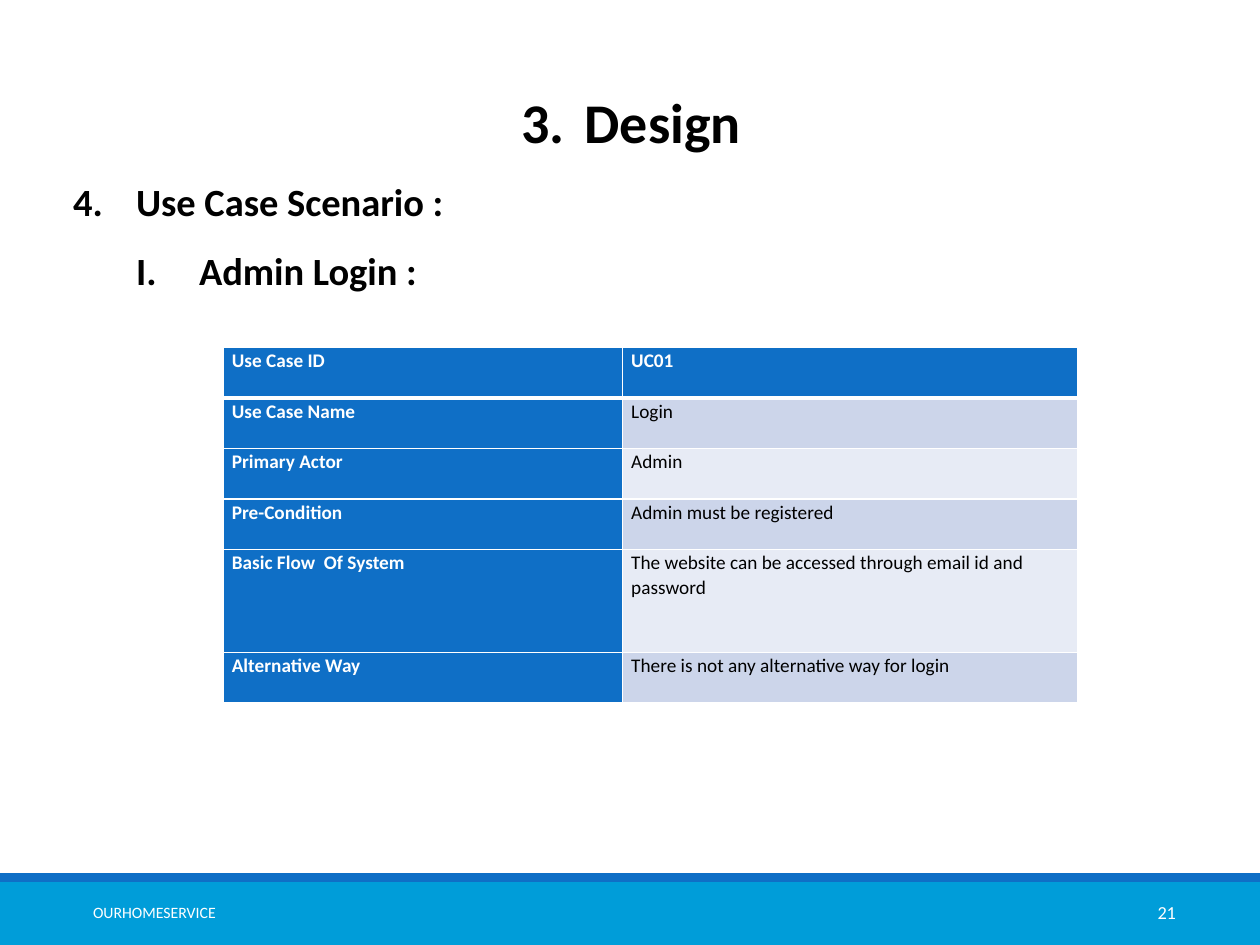
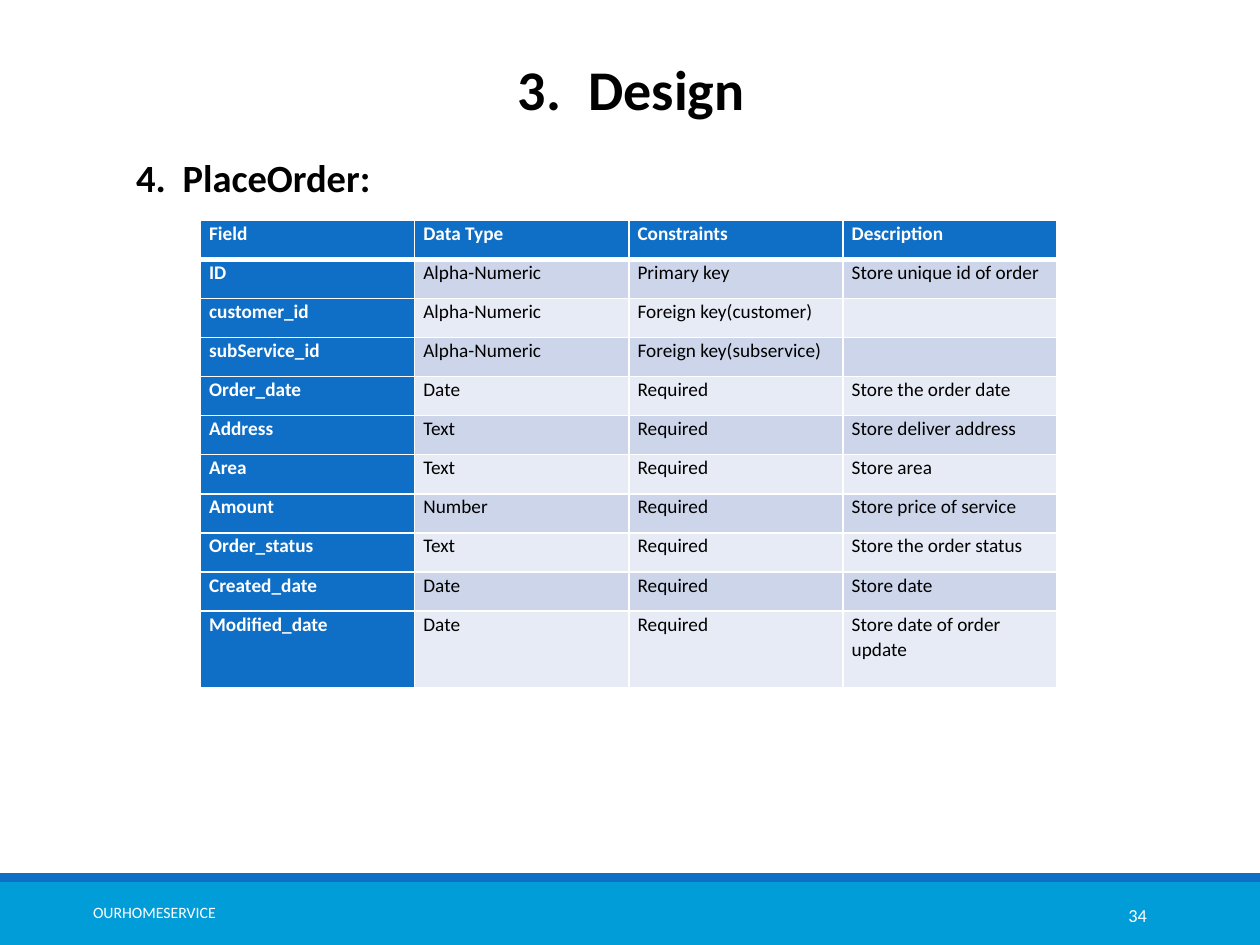
"""Build two design slides: a use case scenario and a data dictionary table."""
from dataclasses import dataclass

from lxml import etree
from pptx import Presentation
from pptx import util as u
from pptx.dml.color import RGBColor
from pptx.enum import shapes, text
from pptx.oxml import ns
from pptx.presentation import Presentation as Deck
from pptx.shapes.autoshape import Shape
from pptx.slide import Slide
from pptx.table import _Cell as Cell
from pptx.text.text import TextFrame, _Paragraph as Paragraph


@dataclass(frozen=True)
class Theme:
    """Colours, font and type sizes of the deck."""
    font: str = "Calibri"
    accent: str = "0F6FC6"
    footer: str = "009DD9"
    light: str = "FFFFFF"
    dark: str = "000000"
    stripes: tuple[str, str] = ("CCD5EA", "E7EBF5")
    title_size: float = 32
    list_size: float = 22
    table_size: float = 11
    number_size: float = 10.5
    footer_size: float = 9


@dataclass(frozen=True)
class Box:
    """Position and size in inches."""
    left: float
    top: float
    width: float
    height: float

    def lengths(self) -> tuple[u.Length, ...]:
        """Return the box as slide lengths."""
        return tuple(u.Inches(value) for value in (self.left, self.top, self.width, self.height))


@dataclass(frozen=True)
class Item:
    """A numbered line; margin and hanging indent in inches."""
    words: str
    start: int
    margin: float
    hanging: float
    spacing: float = 1.5
    level: int = 0
    scheme: str = "arabicPeriod"


@dataclass(frozen=True)
class Grid:
    """A table with its place, column widths and row heights in inches."""
    left: float
    top: float
    columns: list[float]
    heights: list[float]
    rows: list[tuple[str, ...]]


@dataclass(frozen=True)
class Page:
    """Everything that differs from one slide to the next."""
    title: Item
    title_box: Box
    items: list[Item]
    items_box: Box
    grid: Grid
    number: str
    number_box: Box
    number_alignment: text.PP_ALIGN


THEME = Theme()
BRAND = "OURHOMESERVICE"
BRAND_BOX = Box(0.23, 7.04, 1.99, 0.4)
BANDS = [(Box(0, 7, 10, 0.5), THEME.footer), (Box(0, 6.93, 10, 0.07), THEME.accent)]

PAGES = [
    Page(
        title=Item("Design", 3, 0.5, 0.5),
        title_box=Box(0.48, 0.38, 9.06, 0.86),
        items=[
            Item("Use Case Scenario :", 4, 0.5, 0.5),
            Item("Admin Login :", 1, 1, 0.5, level=1, scheme="romanUcPeriod"),
        ],
        items_box=Box(0.48, 1.18, 9.06, 1.3),
        grid=Grid(1.77, 2.76, [3.17, 3.61], [0.4] * 4 + [0.82, 0.4], [
            ("Use Case ID", "UC01"),
            ("Use Case Name", "Login"),
            ("Primary Actor", "Admin"),
            ("Pre-Condition", "Admin must be registered"),
            ("Basic Flow  Of System", "The website can be accessed through email id and password"),
            ("Alternative Way", "There is not any alternative way for login"),
        ]),
        number="21",
        number_box=Box(8.72, 7.04, 1.08, 0.4),
        number_alignment=text.PP_ALIGN.CENTER,
    ),
    Page(
        title=Item("Design", 3, 0.56, 0.56, spacing=1),
        title_box=Box(0.48, 0.38, 9.06, 0.64),
        items=[Item("PlaceOrder:", 4, 0.87, 0.37)],
        items_box=Box(0.48, 0.99, 9.06, 0.66),
        grid=Grid(1.59, 1.75, [1.7] * 4, [0.31] * 10 + [0.61], [
            ("Field", "Data Type", "Constraints", "Description"),
            ("ID", "Alpha-Numeric", "Primary key", "Store unique id of order"),
            ("customer_id", "Alpha-Numeric", "Foreign key(customer)", ""),
            ("subService_id", "Alpha-Numeric", "Foreign key(subservice)", ""),
            ("Order_date", "Date", "Required", "Store the order date"),
            ("Address", "Text", "Required", "Store deliver address"),
            ("Area", "Text", "Required", "Store area"),
            ("Amount", "Number", "Required", "Store price of service"),
            ("Order_status", "Text", "Required", "Store the order status"),
            ("Created_date", "Date", "Required", "Store date"),
            ("Modified_date", "Date", "Required", "Store date of order update"),
        ]),
        number="34",
        number_box=Box(8.12, 7.06, 1.08, 0.4),
        number_alignment=text.PP_ALIGN.RIGHT,
    ),
]


def add_run(paragraph: Paragraph, words: str, size: float, color: str, bold: bool = False) -> None:
    """Add one formatted run to a paragraph."""
    run = paragraph.add_run()
    run.text = words
    run.font.name = THEME.font
    run.font.size = u.Pt(size)
    run.font.bold = bold
    run.font.color.rgb = RGBColor.from_string(color)


def next_paragraph(frame: TextFrame, index: int) -> Paragraph:
    """Return the first paragraph, or add a further one."""
    return frame.add_paragraph() if index else frame.paragraphs[0]


def fill_placeholder(shape: Shape, box: Box, items: list[Item], size: float,
                     alignment: text.PP_ALIGN) -> None:
    """Move a placeholder and write its numbered lines."""
    shape.left, shape.top, shape.width, shape.height = box.lengths()
    frame = shape.text_frame
    frame.auto_size = text.MSO_AUTO_SIZE.NONE
    frame.vertical_anchor = text.MSO_ANCHOR.TOP
    for index, item in enumerate(items):
        paragraph = next_paragraph(frame, index)
        paragraph.level = item.level
        paragraph.alignment = alignment
        paragraph.line_spacing = item.spacing
        paragraph.space_before = u.Pt(0)
        add_run(paragraph, item.words, size, THEME.dark, bold=True)
        properties = paragraph._p.get_or_add_pPr()
        properties.set("marL", str(u.Inches(item.margin)))
        properties.set("indent", str(-u.Inches(item.hanging)))
        etree.SubElement(properties, ns.qn("a:buFont"), typeface="+mj-lt")
        etree.SubElement(properties, ns.qn("a:buAutoNum"), type=item.scheme, startAt=str(item.start))


def add_footer_text(slide: Slide, words: str, box: Box, size: float,
                    alignment: text.PP_ALIGN) -> None:
    """Add one light text on the footer band."""
    frame = slide.shapes.add_textbox(*box.lengths()).text_frame
    frame.word_wrap = True
    frame.vertical_anchor = text.MSO_ANCHOR.MIDDLE
    paragraph = frame.paragraphs[0]
    paragraph.alignment = alignment
    add_run(paragraph, words, size, THEME.light)


def set_borders(cell: Cell, top: float, bottom: float) -> None:
    """Draw the four cell borders, with widths in points."""
    properties = cell._tc.get_or_add_tcPr()
    widths = {"a:lnL": 1, "a:lnR": 1, "a:lnT": top, "a:lnB": bottom}
    for index, (tag, width) in enumerate(widths.items()):
        line = etree.Element(ns.qn(tag), w=str(u.Pt(width)))
        fill = etree.SubElement(line, ns.qn("a:solidFill"))
        etree.SubElement(fill, ns.qn("a:srgbClr"), val=THEME.light)
        properties.insert(index, line)


def format_cell(cell: Cell, words: str, row: int, column: int) -> None:
    """Write and colour one table cell."""
    is_header = row == 0 or column == 0
    cell.fill.solid()
    cell.fill.fore_color.rgb = RGBColor.from_string(
        THEME.accent if is_header else THEME.stripes[(row - 1) % 2])
    cell.margin_left = cell.margin_right = u.Inches(0.07)
    cell.margin_top = cell.margin_bottom = 0
    set_borders(cell, top=3 if row == 1 else 1, bottom=3 if row == 0 else 1)
    if words:
        paragraph = cell.text_frame.paragraphs[0]
        paragraph.line_spacing = 1.07
        add_run(paragraph, words, THEME.table_size,
                THEME.light if is_header else THEME.dark, bold=is_header)


def add_grid(slide: Slide, grid: Grid) -> None:
    """Add a table with a header row and a header column."""
    box = Box(grid.left, grid.top, sum(grid.columns), sum(grid.heights))
    table = slide.shapes.add_table(len(grid.rows), len(grid.columns), *box.lengths()).table
    table.horz_banding = False
    for column, width in zip(table.columns, grid.columns):
        column.width = u.Inches(width)
    for row, height in zip(table.rows, grid.heights):
        row.height = u.Inches(height)
    for row_index, row_words in enumerate(grid.rows):
        for column_index, words in enumerate(row_words):
            format_cell(table.cell(row_index, column_index), words, row_index, column_index)


def move_bands_to_master(presentation: Deck, slide: Slide) -> None:
    """Draw the footer bands and move them to the slide master."""
    for index, (box, color) in enumerate(BANDS):
        band = slide.shapes.add_shape(shapes.MSO_SHAPE.RECTANGLE, *box.lengths())
        band.shadow.inherit = False
        band.fill.solid()
        band.fill.fore_color.rgb = RGBColor.from_string(color)
        band.line.fill.background()
        band.element.nvSpPr.cNvPr.set("id", str(100 + index))
        presentation.slide_master.shapes.element.insert(2 + index, band.element)


def add_page(presentation: Deck, page: Page) -> Slide:
    """Add one slide with title, list, table and footer."""
    slide = presentation.slides.add_slide(presentation.slide_layouts[1])
    fill_placeholder(slide.shapes.title, page.title_box, [page.title],
                     THEME.title_size, text.PP_ALIGN.CENTER)
    fill_placeholder(slide.placeholders[1], page.items_box, page.items,
                     THEME.list_size, text.PP_ALIGN.JUSTIFY)
    add_grid(slide, page.grid)
    add_footer_text(slide, BRAND, BRAND_BOX, THEME.footer_size, text.PP_ALIGN.CENTER)
    add_footer_text(slide, page.number, page.number_box, THEME.number_size, page.number_alignment)
    return slide


def main() -> None:
    """Build and save the presentation."""
    presentation = Presentation()
    presentation.slide_width, presentation.slide_height = u.Inches(10), u.Inches(7.5)
    slides = [add_page(presentation, page) for page in PAGES]
    move_bands_to_master(presentation, slides[0])
    presentation.save("out.pptx")


if __name__ == "__main__":
    main()
